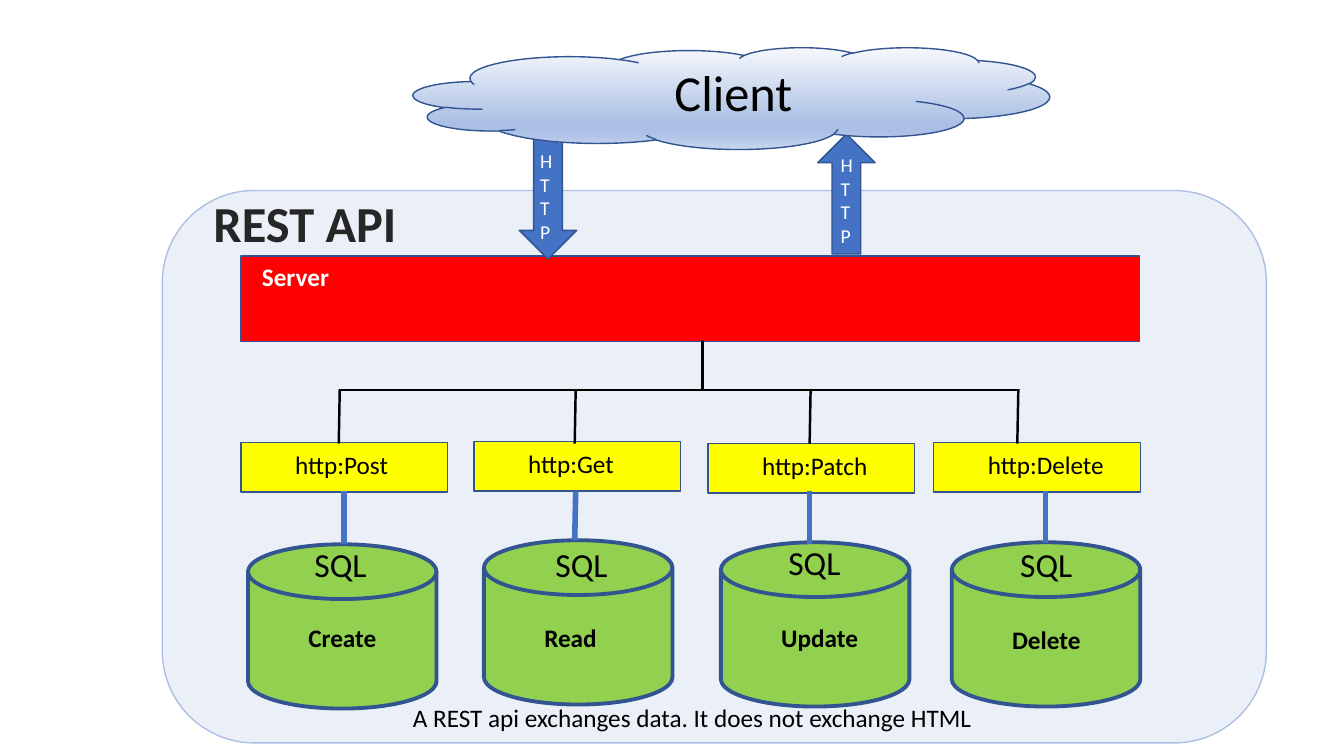
from dataclasses import dataclass

from lxml import etree
from pptx import Presentation
from pptx.dml.color import RGBColor
from pptx.enum.shapes import MSO_CONNECTOR, MSO_SHAPE
from pptx.enum.text import MSO_ANCHOR, MSO_AUTO_SIZE, PP_ALIGN
from pptx.oxml.ns import qn
from pptx.util import Inches, Pt

STRAIGHT = MSO_CONNECTOR.STRAIGHT
ROUNDED = MSO_SHAPE.ROUNDED_RECTANGLE
RECTANGLE = MSO_SHAPE.RECTANGLE
CLOUD = MSO_SHAPE.CLOUD
DOWN_ARROW = MSO_SHAPE.DOWN_ARROW
DISK = MSO_SHAPE.FLOWCHART_MAGNETIC_DISK
TOP = MSO_ANCHOR.TOP
FIT_TEXT = MSO_AUTO_SIZE.SHAPE_TO_FIT_TEXT
LEFT, CENTER = PP_ALIGN.LEFT, PP_ALIGN.CENTER


@dataclass(frozen=True)
class Theme:
    font: str = "Calibri"
    blue: str = "4472C4"
    outline: str = "325491"
    panel_edge: str = "ABC0E4"
    server: str = "FF0000"
    method: str = "FFFF00"
    database: str = "92D050"
    title: str = "262626"
    black: str = "000000"
    white: str = "FFFFFF"
    cloud: tuple = ((0, "F6F8FC"), (74, "ABC0E4"), (83, "ABC0E4"), (100, "C7D5ED"))
    heading_size: int = 36
    sql_size: int = 24
    body_size: int = 18
    arrow_size: int = 14
    bus_width: float = 1.75
    disk_width: float = 2.75
    link_width: float = 4


@dataclass(frozen=True)
class Box:
    left: float
    top: float
    width: float
    height: float

    def inner(self, dx, dy, width, height):
        return Box(self.left + dx, self.top + dy, width, height)

    def emu(self):
        return [Inches(v) for v in (self.left, self.top, self.width, self.height)]


THEME = Theme()


def rgb(value):
    return RGBColor.from_string(value)


def add_block(slide, preset, box, fill, edge=THEME.outline, weight=1):
    block = slide.shapes.add_shape(preset, *box.emu())
    block.shadow.inherit = False
    block.fill.solid()
    block.fill.fore_color.rgb = rgb(fill)
    block.line.color.rgb = rgb(edge)
    block.line.width = Pt(weight)
    return block


def format_text(frame, size, color, bold=False, align=LEFT, wrap=True):
    frame.word_wrap = wrap
    frame.auto_size = FIT_TEXT
    frame.vertical_anchor = TOP
    for paragraph in frame.paragraphs:
        paragraph.alignment = align
        for run in paragraph.runs:
            run.font.name = THEME.font
            run.font.size = Pt(size)
            run.font.bold = bold
            run.font.color.rgb = rgb(color)


def add_label(slide, box, text, size=THEME.body_size, color=THEME.black, bold=False, wrap=True):
    frame = slide.shapes.add_textbox(*box.emu()).text_frame
    frame.text = text
    format_text(frame, size, color, bold, wrap=wrap)


def add_line(slide, start, end, color, weight):
    line = slide.shapes.add_connector(STRAIGHT, *[Inches(v) for v in (*start, *end)])
    line.line.color.rgb = rgb(color)
    line.line.width = Pt(weight)
    etree.SubElement(line.element.spPr, qn("a:effectLst"))


def draw_api_panel(slide, box):
    panel = add_block(slide, ROUNDED, box, THEME.blue, THEME.panel_edge)
    color = panel.element.spPr.find(qn("a:solidFill")).find(qn("a:srgbClr"))
    etree.SubElement(color, qn("a:alpha")).set("val", "10000")

    title = slide.shapes.title
    title.left, title.top, title.width, title.height = box.inner(0.4, -0.03, 2.03, 0.71).emu()
    title.text_frame.text = "REST API"
    format_text(title.text_frame, THEME.heading_size, THEME.title, True, CENTER, wrap=False)
    title.text_frame.paragraphs[0].line_spacing = 1.0
    title.text_frame.paragraphs[0].space_before = Pt(0)
    slide.shapes.element.append(title.element)

    add_label(slide, box.inner(2.33, 5.03, 6.97, 0.4),
              " A REST api exchanges data. It does not exchange HTML ")


def draw_server(slide, box):
    add_block(slide, RECTANGLE, box, THEME.server)
    add_label(slide, box.inner(0.11, 0, 1.4, 0.4), "Server", color=THEME.white, bold=True)


def draw_http_arrow(slide, box, label_box, rotation):
    arrow = add_block(slide, DOWN_ARROW, box, THEME.blue)
    arrow.rotation = rotation
    add_label(slide, label_box, "H\nT\nT \nP", THEME.arrow_size, THEME.white, wrap=rotation != 0)


def draw_client(slide, box):
    cloud = add_block(slide, CLOUD, box, THEME.blue)
    cloud.fill.gradient()
    cloud.fill.gradient_angle = 270
    stops = cloud.element.spPr.find(qn("a:gradFill")).find(qn("a:gsLst"))
    for stop in list(stops):
        stops.remove(stop)
    for position, color in THEME.cloud:
        stop = etree.SubElement(stops, qn("a:gs"))
        stop.set("pos", str(position * 1000))
        etree.SubElement(stop, qn("a:srgbClr")).set("val", color)
    add_label(slide, box.inner(2.49, 0.09, 1.62, 0.71), "Client", THEME.heading_size)


def draw_method(slide, box, text, label_width):
    add_block(slide, RECTANGLE, box, THEME.method)
    add_label(slide, box.inner(0.44, 0.02, label_width, 0.4), text, wrap=False)


def draw_database(slide, box, action, sql_left, sql_top, action_top):
    add_block(slide, DISK, box, THEME.database, weight=THEME.disk_width)
    add_label(slide, Box(box.left + 0.5, action_top, 1.36, 0.4), action, bold=True)
    add_label(slide, Box(sql_left, sql_top, 1, 0.5), "SQL", THEME.sql_size)


def draw_bus(slide, box, drops):
    add_line(slide, (box.left, box.top), (box.left + box.width, box.top),
             THEME.black, THEME.bus_width)
    for x in drops:
        add_line(slide, (x + 0.01, box.top - 0.01), (x, box.top + box.height),
                 THEME.black, THEME.bus_width)
    add_line(slide, (6.97, box.top - 0.5), (6.97, box.top), THEME.black, THEME.bus_width)


METHODS = [
    ("http:Post", 1.14, Box(2.39, 4.39, 2.05, 0.49)),
    ("http:Get", 1.07, Box(4.7, 4.38, 2.05, 0.49)),
    ("http:Patch", 1.26, Box(7.02, 4.4, 2.05, 0.49)),
    ("http:Delete", 1.37, Box(9.26, 4.39, 2.05, 0.49)),
]
DATABASES = [
    ("Create", Box(2.46, 5.4, 1.87, 1.63), 3.02, 5.35, 6.12),
    ("Read", Box(4.8, 5.36, 1.87, 1.63), 5.41, 5.35, 6.12),
    ("Update", Box(7.15, 5.38, 1.87, 1.63), 7.72, 5.33, 6.12),
    ("Delete", Box(9.44, 5.38, 1.87, 1.63), 10.02, 5.35, 6.14),
]
BUS_DROPS = (3.36, 5.7, 8.03, 10.09)
LINKS = ((3.41, 3.41, 5.4), (5.71, 5.7, 5.36), (8.03, 8.03, 5.4), (10.37, 10.37, 5.39))


def draw_rest_slide(slide):
    draw_api_panel(slide, Box(1.61, 1.89, 10.95, 5.48))
    draw_http_arrow(slide, Box(8.11, 1.33, 0.57, 1.19), Box(8.24, 1.47, 0.31, 1.04), 180)
    draw_server(slide, Box(2.39, 2.54, 8.91, 0.85))
    draw_http_arrow(slide, Box(5.15, 1.38, 0.57, 1.19), Box(5.26, 1.43, 0.34, 1.04), 0)
    draw_client(slide, Box(4.1, 0.47, 6.31, 1.01))
    for text, label_width, box in METHODS:
        draw_method(slide, box, text, label_width)
    draw_bus(slide, Box(3.36, 3.87, 6.75, 0.53), BUS_DROPS)
    for action, box, sql_left, sql_top, action_top in DATABASES:
        draw_database(slide, box, action, sql_left, sql_top, action_top)
    for start_x, end_x, end_y in LINKS:
        add_line(slide, (start_x, 4.87), (end_x, end_y), THEME.blue, THEME.link_width)


deck = Presentation()
deck.slide_width, deck.slide_height = Inches(13.33), Inches(7.5)
draw_rest_slide(deck.slides.add_slide(deck.slide_layouts[5]))
deck.save("out.pptx")
